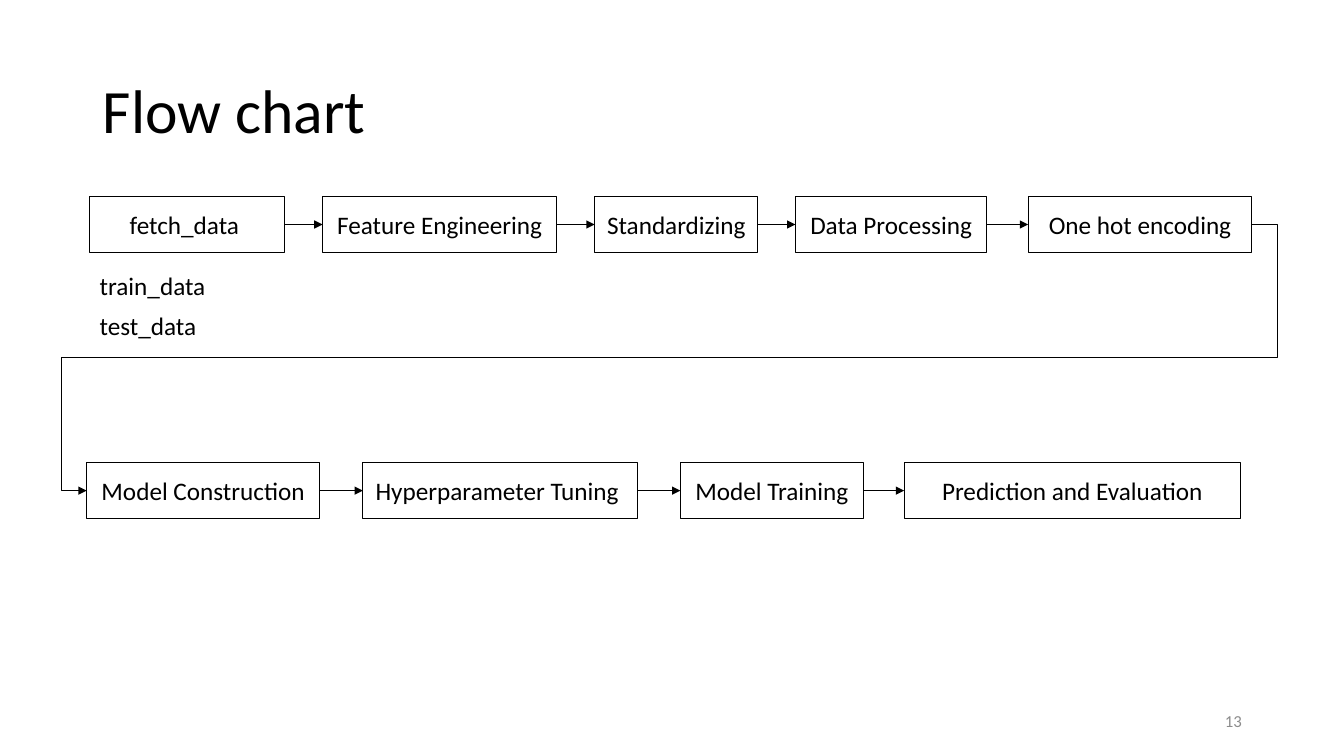
from typing import NamedTuple

from lxml.etree import SubElement
from pptx import Presentation
from pptx.dml.color import RGBColor
from pptx.enum.shapes import MSO_CONNECTOR, MSO_SHAPE
from pptx.enum.text import MSO_ANCHOR, MSO_AUTO_SIZE, PP_ALIGN
from pptx.oxml.ns import qn
from pptx.util import Inches, Pt

COLORS = {"ink": "000000", "page_number": "8C8C8C"}
FONT = "Calibri"
WIDTH, HEIGHT = Inches(13.33), Inches(7.5)
TOP, LEFT, RIGHT = 0, 1, 3  # connection sites
STEP_HEIGHT = 7.4


class Area(NamedTuple):
    """Position and size in percent of the slide."""
    left: float
    top: float
    width: float
    height: float

    def emu(self) -> tuple:
        return tuple(round(share * side / 100)
                     for share, side in zip(self, (WIDTH, HEIGHT) * 2))


class Step(NamedTuple):
    label: str
    left: float
    width: float


class Label(NamedTuple):
    text: str
    area: Area
    size: int = 18
    color: str = "ink"
    align: PP_ALIGN = PP_ALIGN.LEFT
    anchor: MSO_ANCHOR = MSO_ANCHOR.TOP


# Each row of the flow: top of the row and its steps
FLOW = [
    (26, [
        Step("fetch_data ", 6.68, 14.5),
        Step("Feature Engineering", 24, 17.44),
        Step("Standardizing", 44.25, 12.15),
        Step("Data Processing", 59.18, 14.25),
        Step("One hot encoding", 76.5, 16.65),
    ]),
    (61.2, [
        Step("Model Construction", 6.45, 17.33),
        Step("Hyperparameter Tuning ", 27, 20.4),
        Step("Model Training", 50.63, 13.6),
        Step("Prediction and Evaluation", 67.28, 25),
    ]),
]
LABELS = [
    Label("train_data", Area(6.68, 35.07, 11.03, 5.33)),
    Label("test_data", Area(6.68, 40.4, 11.03, 5.33)),
    Label("13", Area(70.65, 92.67, 22.5, 5.33), 12, "page_number",
          PP_ALIGN.RIGHT, MSO_ANCHOR.MIDDLE),
]
TITLE = Label("Flow chart", Area(6.9, 5.33, 86.25, 19.33), 44,
              anchor=MSO_ANCHOR.MIDDLE)


def write(shape, label: Label) -> None:
    frame = shape.text_frame
    frame.text = label.text
    frame.word_wrap = True
    frame.auto_size = MSO_AUTO_SIZE.NONE
    frame.vertical_anchor = label.anchor
    paragraph = frame.paragraphs[0]
    paragraph.alignment = label.align
    font = paragraph.runs[0].font
    font.name, font.size = FONT, Pt(label.size)
    font.color.rgb = RGBColor.from_string(COLORS[label.color])


def draw_step(shapes, step: Step, top: float):
    area = Area(step.left, top, step.width, STEP_HEIGHT)
    box = shapes.add_shape(MSO_SHAPE.RECTANGLE, *area.emu())
    box.shadow.inherit = False
    box.fill.background()
    box.line.color.rgb = RGBColor.from_string(COLORS["ink"])
    box.line.width = Pt(0.75)
    write(box, Label(step.label, area, align=PP_ALIGN.CENTER,
                     anchor=MSO_ANCHOR.MIDDLE))
    return box


def draw_arrow(shapes, source, target, kind=MSO_CONNECTOR.STRAIGHT):
    arrow = shapes.add_connector(kind, 0, 0, 0, 0)
    arrow.begin_connect(source, RIGHT)
    arrow.end_connect(target, LEFT)
    arrow.line.color.rgb = RGBColor.from_string(COLORS["ink"])
    arrow.line.width = Pt(0.5)
    properties = arrow.element.spPr
    SubElement(properties.find(qn("a:ln")), qn("a:tailEnd"), type="triangle")
    SubElement(properties, qn("a:effectLst"))
    return arrow


def route_between_rows(arrow) -> None:
    """Lead the arrow out to the right, across, and in from the left."""
    geometry = arrow.element.spPr.find(qn("a:prstGeom"))
    geometry.set("prst", "bentConnector5")
    adjustments = geometry.find(qn("a:avLst"))
    for number, share in enumerate((-0.022, 0.5, 1.022), start=1):
        SubElement(adjustments, qn("a:gd"), name=f"adj{number}",
                   fmla=f"val {round(share * 100000)}")


def main() -> None:
    deck = Presentation()
    deck.slide_width, deck.slide_height = WIDTH, HEIGHT
    slide = deck.slides.add_slide(deck.slide_layouts[5])
    shapes = slide.shapes

    # Title
    title = shapes.title
    title.left, title.top, title.width, title.height = TITLE.area.emu()
    write(title, TITLE)
    title.text_frame.paragraphs[0].line_spacing = 0.9

    # Steps and the arrows within each row
    rows = [[draw_step(shapes, step, top) for step in steps]
            for top, steps in FLOW]
    for row in rows:
        for source, target in zip(row, row[1:]):
            draw_arrow(shapes, source, target)

    # Arrow from the first row to the second
    first_row, second_row = rows
    route_between_rows(draw_arrow(shapes, first_row[-1], second_row[0],
                                  MSO_CONNECTOR.ELBOW))

    # Data set names and page number
    for label in LABELS:
        write(shapes.add_textbox(*label.area.emu()), label)

    deck.save("out.pptx")


if __name__ == "__main__":
    main()
